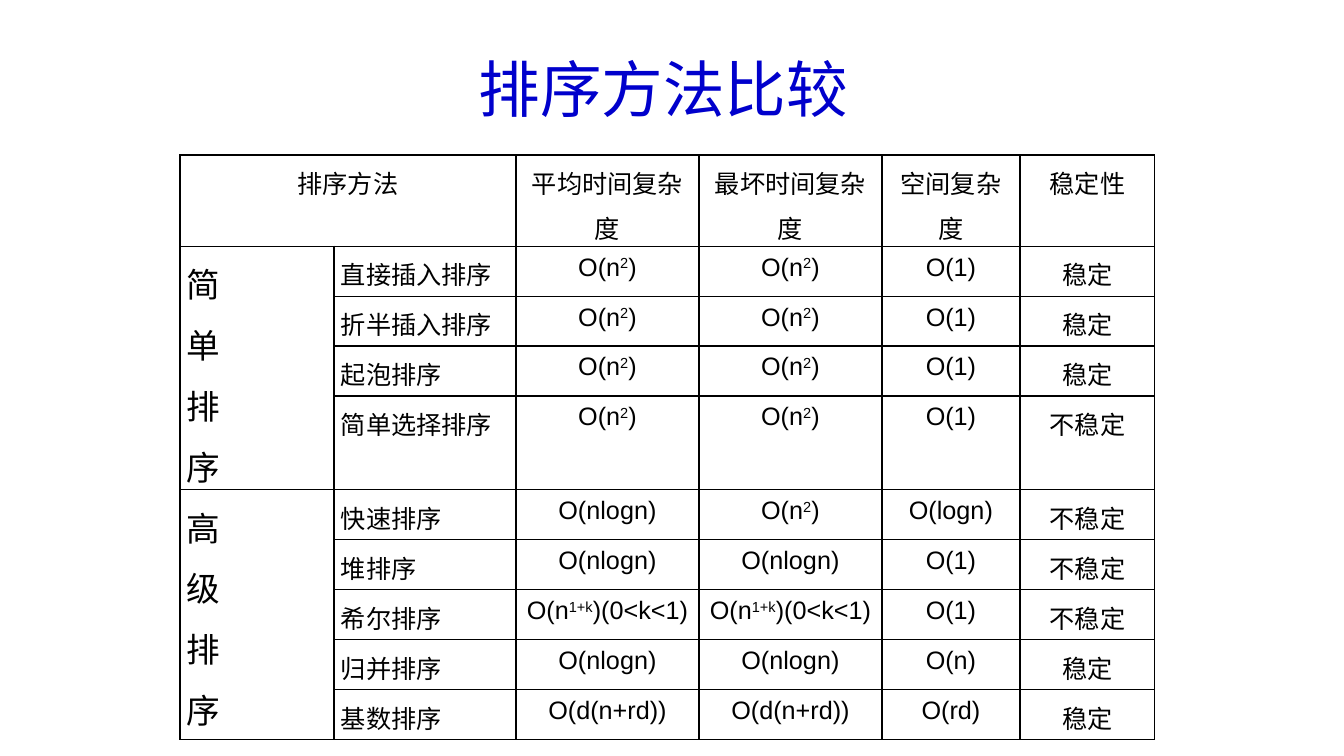
"""Builds a slide with a table comparing sorting algorithms."""
from lxml import etree
from pptx import Presentation
from pptx.dml.color import RGBColor
from pptx.enum.text import MSO_ANCHOR, MSO_AUTO_SIZE, PP_ALIGN
from pptx.oxml.ns import qn
from pptx.util import Pt

PX = 914400 / 100.8
CENTER, JUSTIFY = PP_ALIGN.CENTER, PP_ALIGN.JUSTIFY
MIDDLE, NO_FIT = MSO_ANCHOR.MIDDLE, MSO_AUTO_SIZE.NONE
BLACK = RGBColor(0, 0, 0)
BLUE = RGBColor(0, 0, 0xCC)
CJK_FONT = "Noto Sans CJK SC"

COLUMN_WIDTHS = [154, 182, 183, 183, 138, 135]
ROW_HEIGHT = 50
HEADINGS = ["排序方法", "", "平均时间复杂度", "最坏时间复杂度", "空间复杂度", "稳定性"]
GROUPS = [
    ("简\n单\n排\n序", [
        ("直接插入排序", "O(n^2^)", "O(n^2^)", "O(1)", "稳定"),
        ("折半插入排序", "O(n^2^)", "O(n^2^)", "O(1)", "稳定"),
        ("起泡排序", "O(n^2^)", "O(n^2^)", "O(1)", "稳定"),
        ("简单选择排序", "O(n^2^)", "O(n^2^)", "O(1)", "不稳定"),
    ]),
    ("高\n级\n排\n序", [
        ("快速排序", "O(nlogn)", "O(n^2^)", "O(logn)", "不稳定"),
        ("堆排序", "O(nlogn)", "O(nlogn)", "O(1)", "不稳定"),
        ("希尔排序", "O(n^1+k^)(0<k<1)", "O(n^1+k^)(0<k<1)", "O(1)", "不稳定"),
        ("归并排序", "O(nlogn)", "O(nlogn)", "O(n)", "稳定"),
        ("基数排序", "O(d(n+rd))", "O(d(n+rd))", "O(rd)", "稳定"),
    ]),
]


def px(length):
    return round(length * PX)


def write(frame, text, size=18, color=BLACK, font="Arial", align=CENTER, spacing=1.25):
    """Fill a text frame; parts between carets become superscripts."""
    for index, line in enumerate(text.split("\n")):
        paragraph = frame.add_paragraph() if index else frame.paragraphs[0]
        paragraph.alignment = align
        paragraph.line_spacing = spacing
        for position, part in enumerate(line.split("^")):
            run = paragraph.add_run()
            run.text = part
            run.font.size = Pt(size)
            run.font.name = font
            run.font.color.rgb = color
            properties = run._r.get_or_add_rPr()
            etree.SubElement(properties, qn("a:ea")).set("typeface", CJK_FONT)
            if position % 2:
                properties.set("baseline", "30000")


presentation = Presentation()
presentation.slide_width, presentation.slide_height = px(1344), px(756)
slide = presentation.slides.add_slide(presentation.slide_layouts[5])

heading = slide.shapes.title
heading.left, heading.top, heading.width, heading.height = px(210), px(44), px(907), px(88)
heading.text_frame.auto_size = NO_FIT
heading.text_frame.vertical_anchor = MIDDLE
write(heading.text_frame, "排序方法比较", size=44, color=BLUE, font=CJK_FONT, spacing=1.0)

row_count = 1 + sum(len(methods) for _, methods in GROUPS)
comparison = slide.shapes.add_table(
    row_count, len(COLUMN_WIDTHS), px(180), px(155),
    px(sum(COLUMN_WIDTHS)), px(ROW_HEIGHT * row_count)).table
comparison.first_row = False
comparison.horz_banding = False
for column, width in zip(comparison.columns, COLUMN_WIDTHS):
    column.width = px(width)

for cell in comparison.iter_cells():
    cell.margin_left = cell.margin_right = px(7)
    cell.margin_top = cell.margin_bottom = 0
    borders = cell._tc.get_or_add_tcPr()
    for side in ("a:lnL", "a:lnR", "a:lnT", "a:lnB"):
        line = etree.SubElement(borders, qn(side), w=str(Pt(1)))
        fill = etree.SubElement(line, qn("a:solidFill"))
        etree.SubElement(fill, qn("a:srgbClr"), val=str(BLACK))
    cell.fill.background()

comparison.cell(0, 0).merge(comparison.cell(0, 1))
for column, label in enumerate(HEADINGS):
    if label:
        write(comparison.cell(0, column).text_frame, label)

row = 1
for group, methods in GROUPS:
    group_cell = comparison.cell(row, 0)
    group_cell.merge(comparison.cell(row + len(methods) - 1, 0))
    write(group_cell.text_frame, group, size=24, align=JUSTIFY)
    for method in methods:
        for column, value in enumerate(method, start=1):
            write(comparison.cell(row, column).text_frame, value,
                  align=JUSTIFY if column == 1 else CENTER)
        row += 1

presentation.save("out.pptx")
